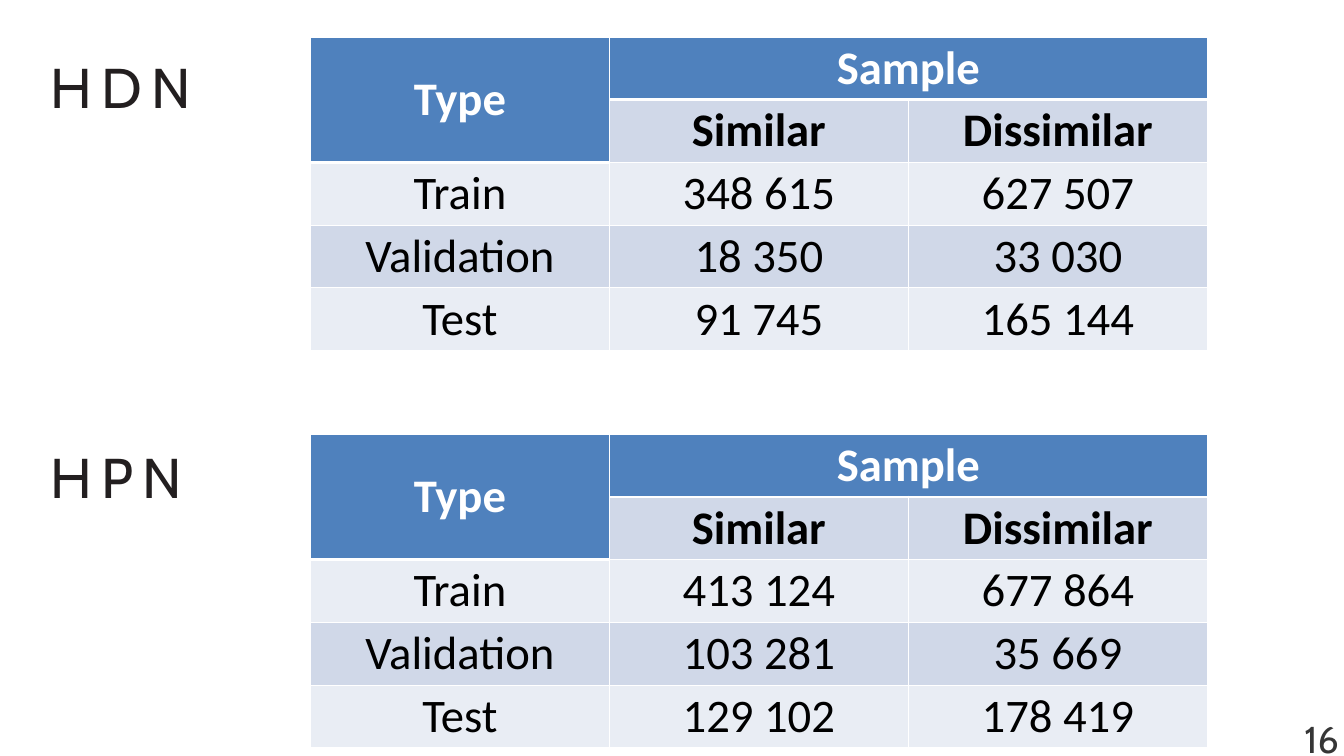
from dataclasses import dataclass

from lxml import etree
from pptx import Presentation
from pptx.dml.color import RGBColor
from pptx.enum.text import MSO_ANCHOR, MSO_AUTO_SIZE, PP_ALIGN
from pptx.oxml.ns import qn
from pptx.util import Pt

LEFT, CENTER = PP_ALIGN.LEFT, PP_ALIGN.CENTER
MIDDLE = MSO_ANCHOR.MIDDLE
GROW = MSO_AUTO_SIZE.SHAPE_TO_FIT_TEXT
BLANK_LAYOUT = 6


@dataclass(frozen=True)
class Theme:
    heading_font: str = "Cabin"
    table_font: str = "Calibri"
    heading_size: int = 60
    number_size: int = 40
    table_size: int = 50
    heading: str = "231F20"
    number: str = "363636"
    white: str = "FFFFFF"
    black: str = "000000"
    header_fill: str = "4F81BD"
    dark_band: str = "D0D8E8"
    light_band: str = "E9EDF4"
    thin_line: int = 1
    thick_line: int = 3


THEME = Theme()
COLUMN_HEADS = [["Type", "Sample", ""], ["", "Similar", "Dissimilar"]]
# Edges drawn thick below the header, as (row edge, column)
THICK_EDGES = {(1, 0), (1, 1), (1, 2), (2, 0)}

SECTIONS = [
    ("HDN", (54, -9.4, 1260, 118), (332.6, 39.6, 961.2, 336), [
        ["Train", "348 615", "627 507"],
        ["Validation", "18 350", "33 030"],
        ["Test", "91 745", "165 144"],
    ]),
    ("HPN", (54, 408.2, 1260, 118), (332.6, 465.1, 961.2, 336), [
        ["Train", "413 124", "677 864"],
        ["Validation", "103 281", "35 669"],
        ["Test", "129 102", "178 419"],
    ]),
]


def write_text(frame, text, *, size, color, font, bold=False, align=LEFT,
               line_spacing=None, tracking=None):
    """Tracking is the extra space between letters, in points."""
    paragraph = frame.paragraphs[0]
    paragraph.alignment = align
    if line_spacing:
        paragraph.line_spacing = Pt(line_spacing)
    run = paragraph.add_run()
    run.text = text
    run.font.name = font
    run.font.size = Pt(size)
    run.font.bold = bold
    run.font.color.rgb = RGBColor.from_string(color)
    if tracking:
        run.font._element.set("spc", str(round(tracking * 100)))


def add_label(slide, box, text, **text_format):
    frame = slide.shapes.add_textbox(*map(Pt, box)).text_frame
    frame.margin_left = frame.margin_right = 0
    frame.margin_top = frame.margin_bottom = 0
    frame.word_wrap = True
    frame.auto_size = GROW
    write_text(frame, text, font=THEME.heading_font, **text_format)


def set_borders(cell, **widths):
    """Draw white borders; widths are keyed L, R, T and B, in that order."""
    properties = cell._tc.get_or_add_tcPr()
    for index, (side, width) in enumerate(widths.items()):
        line = etree.Element(qn(f"a:ln{side}"), w=str(Pt(width)))
        fill = etree.SubElement(line, qn("a:solidFill"))
        etree.SubElement(fill, qn("a:srgbClr"), val=THEME.white)
        properties.insert(index, line)


def cell_style(row, column):
    """Return fill, text colour and boldness for a cell."""
    if row == 0 or (row == 1 and column == 0):
        return THEME.header_fill, THEME.white, True
    fill = THEME.dark_band if row % 2 else THEME.light_band
    return fill, THEME.black, row == 1


def edge_width(edge, column):
    return THEME.thick_line if (edge, column) in THICK_EDGES else THEME.thin_line


def add_sample_table(slide, box, body):
    rows = COLUMN_HEADS + body
    row_count, column_count = len(rows), len(rows[0])
    table = slide.shapes.add_table(row_count, column_count, *map(Pt, box)).table
    for table_row in table.rows:
        table_row.height = Pt(box[3] / row_count)
    for table_column in table.columns:
        table_column.width = Pt(box[2] / column_count)

    for row, texts in enumerate(rows):
        for column, text in enumerate(texts):
            cell = table.cell(row, column)
            fill, color, bold = cell_style(row, column)
            cell.fill.solid()
            cell.fill.fore_color.rgb = RGBColor.from_string(fill)
            cell.vertical_anchor = MIDDLE
            cell.margin_top = cell.margin_bottom = Pt(3)
            set_borders(cell, L=THEME.thin_line, R=THEME.thin_line,
                        T=edge_width(row, column),
                        B=edge_width(row + 1, column))
            if text:
                write_text(cell.text_frame, text, size=THEME.table_size,
                           color=color, font=THEME.table_font, bold=bold,
                           align=CENTER)
    table.cell(0, 0).merge(table.cell(1, 0))
    table.cell(0, 1).merge(table.cell(0, 2))


def add_section(slide, heading, heading_box, table_box, body):
    add_label(slide, heading_box, heading, size=THEME.heading_size,
              color=THEME.heading, line_spacing=137.7, tracking=9.8)
    add_sample_table(slide, table_box, body)


def add_page_number(slide, box, number):
    add_label(slide, box, number, size=THEME.number_size, color=THEME.number,
              align=CENTER, line_spacing=51.3)


def main():
    presentation = Presentation()
    presentation.slide_width = Pt(1440)
    presentation.slide_height = Pt(810)
    slide = presentation.slides.add_slide(presentation.slide_layouts[BLANK_LAYOUT])
    for section in SECTIONS:
        add_section(slide, *section)
    add_page_number(slide, (1388.9, 763.9, 54, 47.5), "16")
    presentation.save("out.pptx")


if __name__ == "__main__":
    main()
